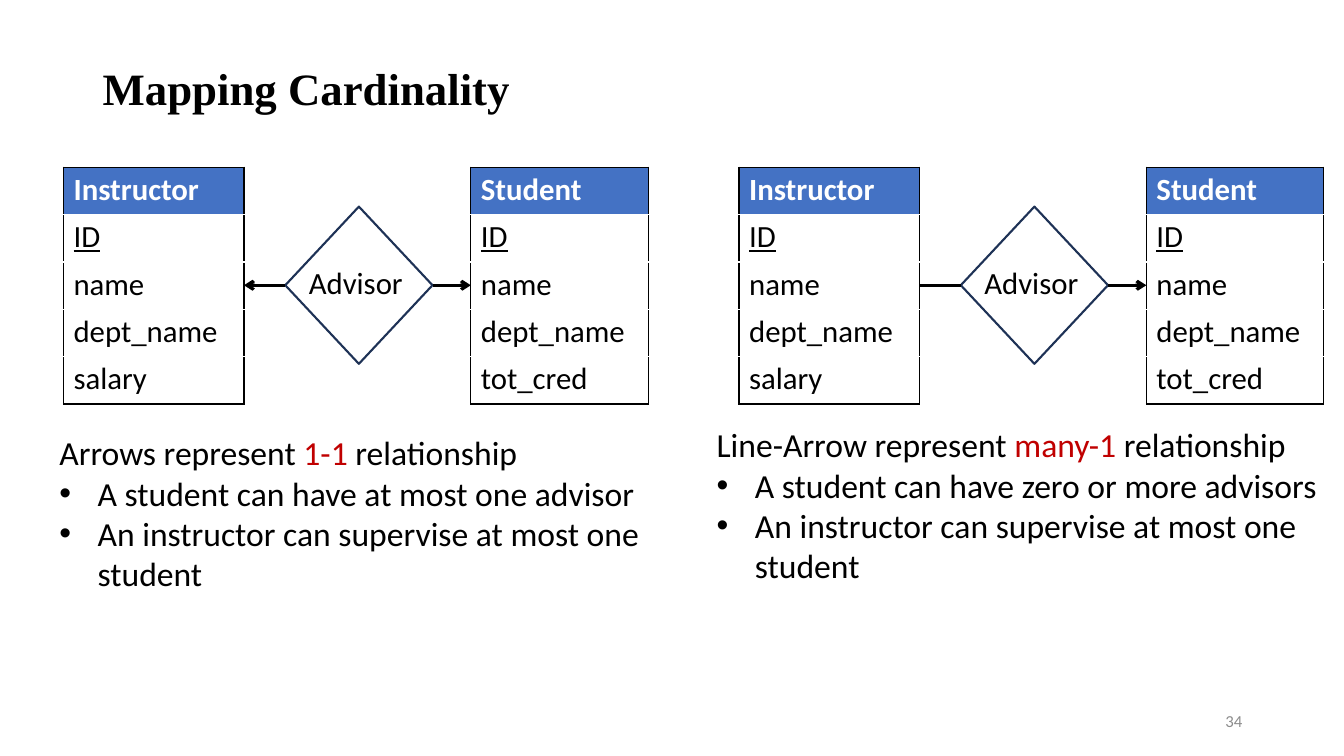
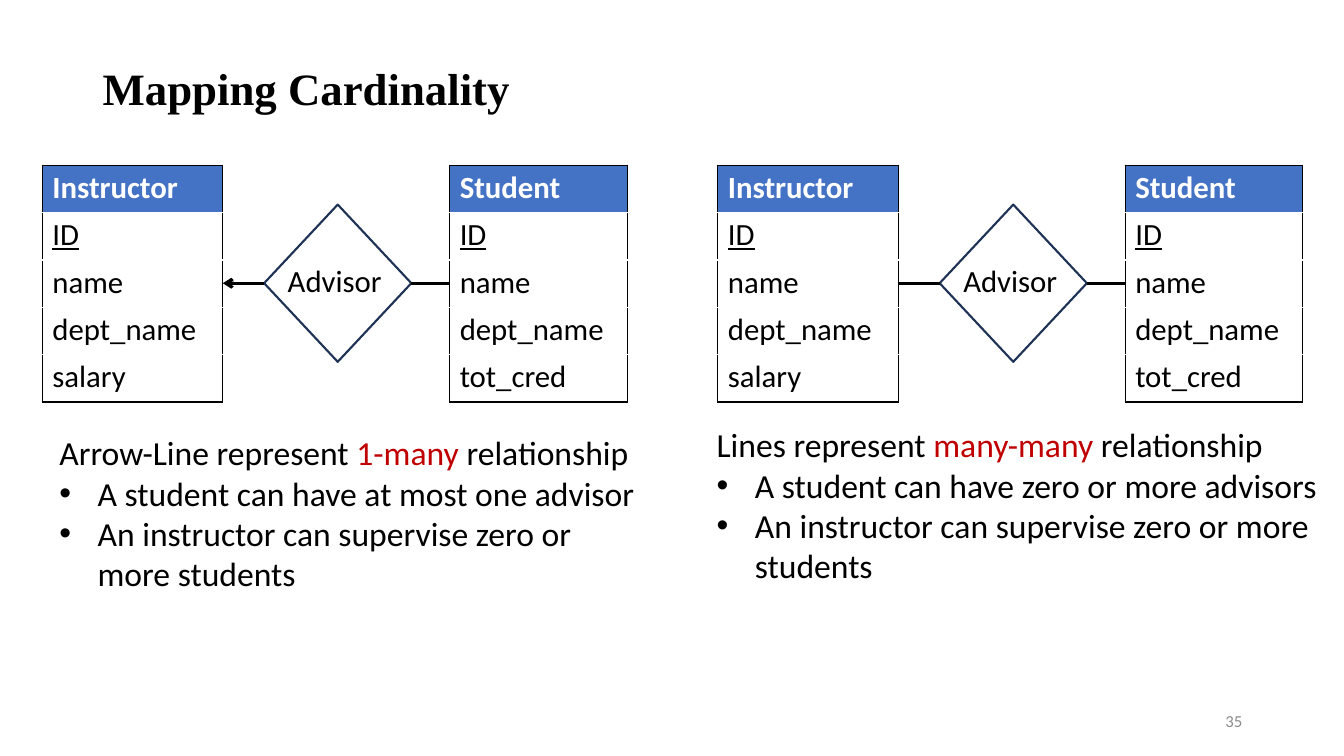
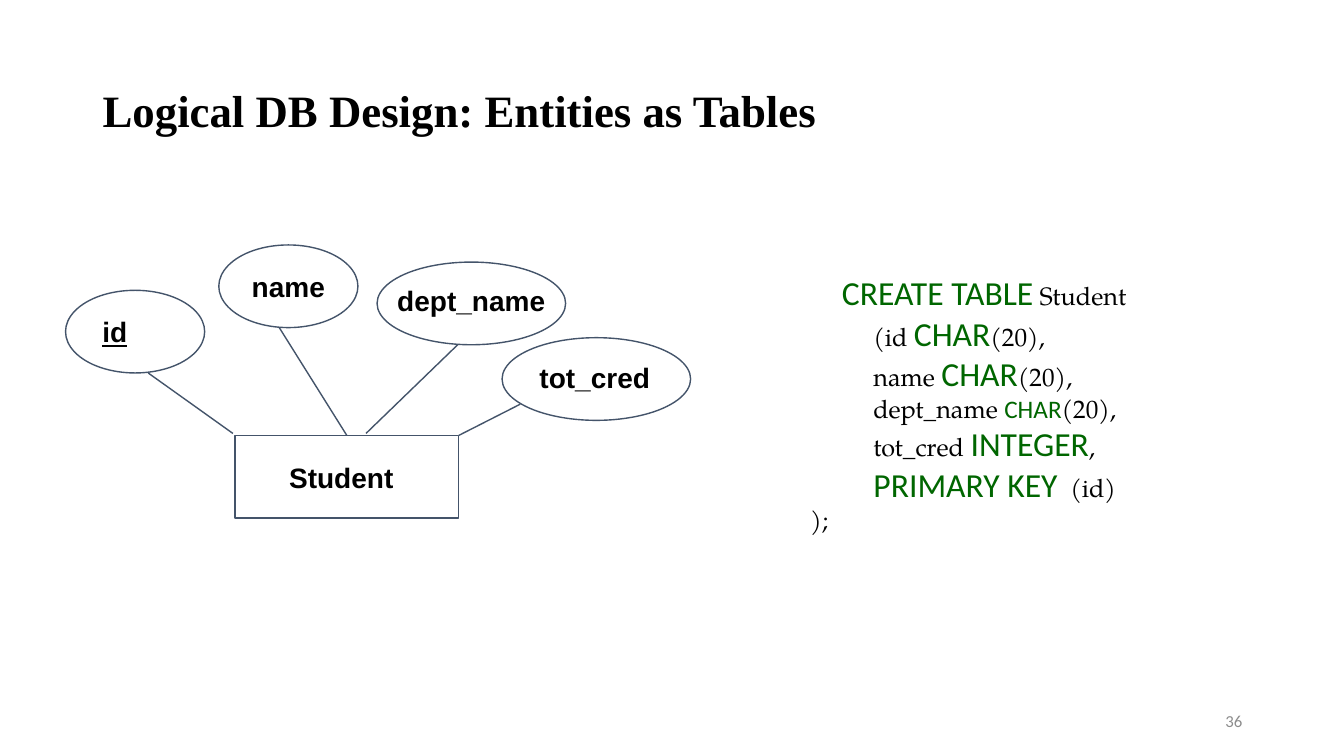
from lxml.etree import SubElement
from pptx import Presentation
from pptx.dml.color import RGBColor
from pptx.enum.shapes import MSO_CONNECTOR, MSO_SHAPE as Shape
from pptx.enum.text import MSO_ANCHOR as Anchor, PP_ALIGN as Align
from pptx.oxml.ns import qn
from pptx.util import Inches, Pt

COLORS = {
    "black": "000000", "white": "FFFFFF", "header": "4472C4", "diamond": "1E3256",
    "outline": "44546A", "emphasis": "C00000", "keyword": "006600", "number": "8C8C8C",
}
BODY, HEADING, LABEL, CODE = "Calibri", "Times New Roman", "Arial", "TeX Gyre Pagella"


def rgb(name):
    return RGBColor.from_string(COLORS[name])


def style(font, face, size, color="black", bold=False, underline=False):
    font.name, font.size, font.bold = face, Pt(size), bold
    font.underline = underline
    font.color.rgb = rgb(color)


class Deck:
    ROW = 0.47
    ENTITY_WIDTHS = {"Instructor": 1.79, "Student": 1.76}

    def __init__(self):
        self.prs = Presentation()
        self.prs.slide_width, self.prs.slide_height = Inches(13.33), Inches(7.5)
        self.slide = None

    def new_slide(self, title, number, title_height=1):
        self.slide = self.prs.slides.add_slide(self.prs.slide_layouts[6])
        heading = self.text_frame(0.92, 0.4, 11.5, title_height, Anchor.MIDDLE).paragraphs[0]
        heading.text, heading.line_spacing = title, 0.9
        style(heading.font, HEADING, 32, bold=True)
        footer = self.text_frame(9.42, 6.95, 3, 0.4, Anchor.MIDDLE).paragraphs[0]
        footer.text, footer.alignment = str(number), Align.RIGHT
        style(footer.font, BODY, 12, "number")

    def text_frame(self, x, y, width, height, anchor=Anchor.TOP):
        box = self.slide.shapes.add_textbox(*map(Inches, (x, y, width, height)))
        frame = box.text_frame
        frame.word_wrap, frame.vertical_anchor = True, anchor
        return frame

    def shape(self, kind, x, y, width, height, line, weight):
        shape = self.slide.shapes.add_shape(kind, *map(Inches, (x, y, width, height)))
        shape.shadow.inherit = False
        shape.fill.background()
        shape.line.color.rgb, shape.line.width = rgb(line), Pt(weight)
        return shape

    def label(self, shape, text, face, size, inset_right=0, inset_bottom=0, **look):
        """Centre text in a shape; an inset moves it left or up by half."""
        frame = shape.text_frame
        frame.word_wrap, frame.vertical_anchor = False, Anchor.MIDDLE
        frame.margin_left = frame.margin_top = 0
        frame.margin_right, frame.margin_bottom = Inches(inset_right), Inches(inset_bottom)
        paragraph = frame.paragraphs[0]
        paragraph.text, paragraph.alignment = text, Align.CENTER
        style(paragraph.font, face, size, **look)

    def line(self, start, end, color, weight, arrow=False):
        connector = self.slide.shapes.add_connector(
            MSO_CONNECTOR.STRAIGHT, *map(Inches, (*start, *end)))
        connector.line.color.rgb, connector.line.width = rgb(color), Pt(weight)
        properties = connector.element.spPr
        if arrow:
            SubElement(properties.find(qn("a:ln")), qn("a:tailEnd"), type="arrow")
        SubElement(properties, qn("a:effectLst"))
        return connector

    def entity(self, x, y, name, attributes):
        """Table with a coloured header, an outer border and an underlined key."""
        rows = [name, *attributes]
        width = self.ENTITY_WIDTHS[name]
        table = self.slide.shapes.add_table(
            len(rows), 1, *map(Inches, (x, y, width, self.ROW * len(rows)))).table
        table.horz_banding = False
        for i, text in enumerate(rows):
            cell = table.cell(i, 0)
            cell.margin_top = cell.margin_bottom = Inches(0.04)
            self.borders(cell, i == 0, i == len(rows) - 1)
            if i == 0:
                cell.fill.solid()
                cell.fill.fore_color.rgb = rgb("header")
            else:
                cell.fill.background()
            paragraph = cell.text_frame.paragraphs[0]
            paragraph.text = text
            style(paragraph.font, BODY, 22, "black" if i else "white", i == 0, i == 1)

    def borders(self, cell, first, last):
        properties = cell._tc.get_or_add_tcPr()
        for side, shown in (("L", True), ("R", True), ("T", first), ("B", last)):
            if shown:
                edge = SubElement(properties, qn(f"a:ln{side}"), w=str(Pt(1)))
                fill = SubElement(edge, qn("a:solidFill"))
                SubElement(fill, qn("a:srgbClr"), val=COLORS["black"])

    def relationship(self, x, y, left_arrow, right_arrow):
        """Instructor and Student joined through the Advisor diamond."""
        self.entity(x, y, "Instructor", ["ID", "name", "dept_name", "salary"])
        self.entity(x + 4.04, y, "Student", ["ID", "name", "dept_name", "tot_cred"])
        advisor = self.shape(Shape.DIAMOND, x + 2.2, y + 0.39, 1.46, 1.56, "diamond", 1.5)
        self.label(advisor, "Advisor", BODY, 22, inset_right=0.06, inset_bottom=0.06)
        middle = y + 1.17
        for site, start, end, arrow in ((1, 2.2, 1.79, left_arrow),
                                        (3, 3.66, 4.04, right_arrow)):
            link = self.line((x + start, middle), (x + end, middle), "black", 2.25, arrow)
            link.begin_connect(advisor, site)

    def explanation(self, x, y, width, lead, cardinality, bullets):
        frame = self.text_frame(x, y, width, 1.72)
        intro = frame.paragraphs[0]
        for text, color in ((lead, "black"), (cardinality, "emphasis"),
                            (" relationship", "black")):
            run = intro.add_run()
            run.text = text
            style(run.font, BODY, 24, color)
        for text in bullets:
            item = frame.add_paragraph()
            item.text = text
            properties = item._p.get_or_add_pPr()
            properties.set("marL", str(Inches(0.38)))
            properties.set("indent", str(-Inches(0.38)))
            SubElement(properties, qn("a:buFont"), typeface="Arial")
            SubElement(properties, qn("a:buChar"), char="•")
            style(item.font, BODY, 24)

    def code(self, x, y, width, height, lines):
        """Each line is (text before, keyword, text after, keyword size)."""
        frame = self.text_frame(x, y, width, height)
        for i, (before, keyword, after, size) in enumerate(lines):
            paragraph = frame.add_paragraph() if i else frame.paragraphs[0]
            for text, look in ((before, (CODE, 18)), (keyword, (BODY, size, "keyword")),
                               (after, (CODE, 18))):
                if text:
                    run = paragraph.add_run()
                    run.text = text
                    style(run.font, *look)


ONE_ADVISOR = "A student can have at most one advisor"
MANY_ADVISORS = "A student can have zero or more advisors"
ONE_STUDENT = "An instructor can supervise at most one student"
MANY_STUDENTS = "An instructor can supervise zero or more students"

# Per slide: left and top of the diagrams, then the two cases:
# lead, cardinality, bullets, arrow at Instructor, arrow at Student
CARDINALITIES = [
    (0.63, 1.66, [
        ("Arrows represent ", "1-1", [ONE_ADVISOR, ONE_STUDENT], True, True),
        ("Line-Arrow represent ", "many-1", [MANY_ADVISORS, ONE_STUDENT], False, True)]),
    (0.42, 1.64, [
        ("Arrow-Line represent ", "1-many", [ONE_ADVISOR, MANY_STUDENTS], True, False),
        ("Lines represent ", "many-many", [MANY_ADVISORS, MANY_STUDENTS], False, False)]),
]
EXPLANATION_PLACES = [(0.49, 4.24, 5.95), (7.01, 4.16, 6.26)]
DIAGRAM_STEP = 6.7

# Text, ellipse left, top, width, right and bottom inset, line start and end
ATTRIBUTES = [
    ("id", 0.65, 2.88, 1.38, 0.4, 0, (1.47, 3.7), (2.31, 4.3)),
    ("name", 2.17, 2.43, 1.38, 0, 0, (2.77, 3.25), (3.44, 4.32)),
    ("dept_name", 3.74, 2.6, 1.87, 0, 0.06, (4.54, 3.42), (3.63, 4.3)),
    ("tot_cred", 4.98, 3.35, 1.87, 0.03, 0.03, (5.16, 4.01), (4.55, 4.32)),
]
CREATE_STUDENT = [
    ("             ", "CREATE TABLE", " Student", 24),
    ("                  (id ", "CHAR", "(20),", 24),
    ("                  name ", "CHAR", "(20),", 24),
    ("                  dept_name ", "CHAR", "(20),", 18),
    ("                  tot_cred ", "INTEGER", ",", 24),
    ("                  ", "PRIMARY KEY", "  (id)", 24),
    ("\t);", "", "", 18),
]


def main():
    deck = Deck()
    for number, (left, top, cases) in enumerate(CARDINALITIES, 34):
        deck.new_slide("Mapping Cardinality", number)
        for i, (lead, cardinality, bullets, *arrows) in enumerate(cases):
            deck.relationship(left + i * DIAGRAM_STEP, top, *arrows)
            deck.explanation(*EXPLANATION_PLACES[i], lead, cardinality, bullets)

    deck.new_slide("Logical DB Design: Entities as Tables", 36, 1.45)
    deck.code(7.44, 2.65, 5.24, 2.72, CREATE_STUDENT)
    student = deck.shape(Shape.RECTANGLE, 2.33, 4.32, 2.22, 0.82, "outline", 1)
    deck.label(student, "Student", LABEL, 20, inset_right=0.11, bold=True)
    for name, x, y, width, inset_right, inset_bottom, start, end in ATTRIBUTES:
        attribute = deck.shape(Shape.OVAL, x, y, width, 0.82, "outline", 1)
        deck.label(attribute, name, LABEL, 20, inset_right, inset_bottom,
                   bold=True, underline=name == "id")
        link = deck.line(start, end, "outline", 1)
        if name == "name":
            link.end_connect(student, 0)
    deck.prs.save("out.pptx")


if __name__ == "__main__":
    main()
